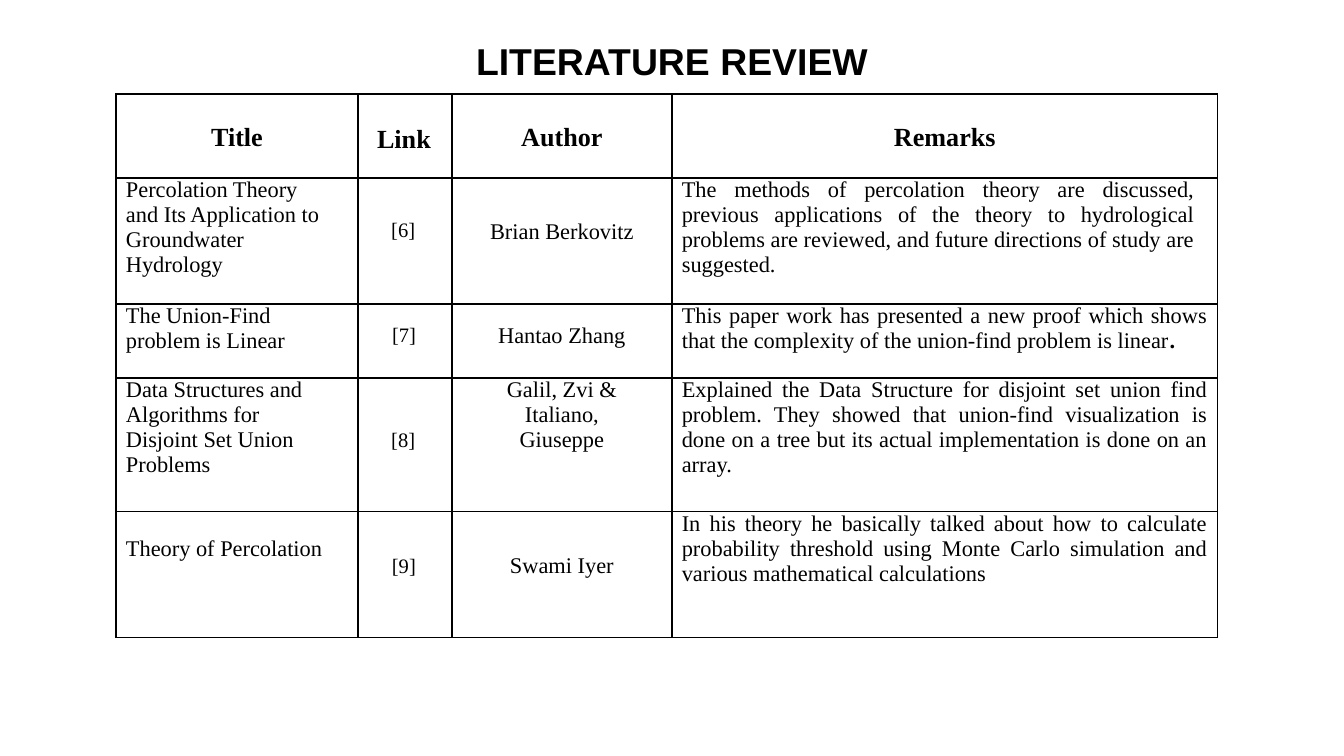
from pptx import Presentation
from pptx.dml.color import RGBColor
from pptx.enum.text import PP_ALIGN as Align
from pptx.oxml import parse_xml
from pptx.oxml.ns import nsdecls
from pptx.util import Emu, Pt

SCALE = 914400 / 134.4
SERIF = "Times New Roman"
INK = "000000"
LEFT, MID, JUST = Align.LEFT, Align.CENTER, Align.JUSTIFY

COLS = [242, 94, 220, 546]
ROWS = [84, 126, 74, 134, 126]
HEADS = ["Title", "", "Author", "Remarks"]
# Title, author and remarks of each paper
PAPERS = [
    ("Percolation Theory and Its Application to Groundwater Hydrology",
     "Brian Berkovitz",
     "The methods of percolation theory are discussed, previous applications "
     "of the theory to hydrological problems are reviewed, and future "
     "directions of study are suggested."),
    ("The Union-Find problem is Linear", "",
     "This paper work has presented a new proof which shows that the "
     "complexity of the union-find problem is linear"),
    ("Data Structures and Algorithms for Disjoint Set Union Problems",
     "Galil, Zvi & Italiano, Giuseppe",
     "Explained the Data Structure for disjoint set union find problem. They "
     "showed that union-find visualization is done on a tree but its actual "
     "implementation is done on an array."),
    ("Theory of Percolation", "Swami Iyer",
     "In his theory he basically talked about how to calculate probability "
     "threshold using Monte Carlo simulation and various mathematical "
     "calculations"),
]
# Space above the title and the author of each paper
DROPS = [(0, 42), (0, 0), (0, 0), (25, 42)]
# Labels laid over the table: text, box, size, bold, alignment
LABELS = [
    ("Link", (230, 22, 116, 46), 14, True, MID),
    ("Hantao Zhang", (336, 221, 220, 73), 12, False, MID),
    ("[6]", (262, 116, 53, 39), 11, False, LEFT),
    ("[7]", (251, 221, 74, 39), 11, False, MID),
    ("[8]", (262, 326, 63, 39), 11, False, LEFT),
    ("[9]", (241, 452, 94, 39), 11, False, MID),
]


def px(n):
    return Emu(round(n * SCALE))


def tint(code):
    return RGBColor.from_string(code)


def write(para, text, size=12, font=SERIF, bold=False, color=INK, align=LEFT):
    para.alignment = align
    run = para.add_run()
    run.text = text
    run.font.size = Pt(size)
    run.font.name = font
    run.font.bold = bold
    run.font.color.rgb = tint(color)


def label(slide, text, box, **form):
    frame = slide.shapes.add_textbox(*map(px, box)).text_frame
    frame.word_wrap = True
    write(frame.paragraphs[0], text, **form)


def clear(cell):
    """Plain cell: black borders, no fill, no insets."""
    props = cell._tc.get_or_add_tcPr()
    for side in ("lnL", "lnR", "lnT", "lnB"):
        props.append(parse_xml(
            f'<a:{side} {nsdecls("a")} w="9525"><a:solidFill>'
            f'<a:srgbClr val="{INK}"/></a:solidFill></a:{side}>'))
    cell.fill.background()
    pad(cell)


def pad(cell, left=0, right=0, top=0):
    cell.margin_left, cell.margin_right = px(left), px(right)
    cell.margin_top, cell.margin_bottom = px(top), 0


def fill(cell, text, left, right, top=0, **form):
    pad(cell, left, right, top)
    if text:
        write(cell.text_frame.paragraphs[0], text, **form)


def review(slide, x, y):
    box = (x, y, sum(COLS), sum(ROWS))
    grid = slide.shapes.add_table(len(ROWS), len(COLS), *map(px, box)).table
    grid.first_row = grid.horz_banding = False
    for col, wide in zip(grid.columns, COLS):
        col.width = px(wide)
    for row, high in zip(grid.rows, ROWS):
        row.height = px(high)
    for cell in grid.iter_cells():
        clear(cell)

    # Header row
    for i, head in enumerate(HEADS):
        fill(grid.cell(0, i), head, 0, 0, 29, size=14, bold=True, align=MID)

    # One row for each paper
    for i, ((name, author, note), drop) in enumerate(zip(PAPERS, DROPS), 1):
        fill(grid.cell(i, 0), name, 10, 30, drop[0])
        fill(grid.cell(i, 2), author, 31, 31, drop[1], align=MID)
        fill(grid.cell(i, 3), note, 10, 23 if i == 1 else 10, align=JUST)
    write(grid.cell(2, 3).text_frame.paragraphs[0], ".", bold=True, align=JUST)

    # Labels over the table
    for text, (left, top, wide, high), size, bold, align in LABELS:
        label(slide, text, (x + left, y + top, wide, high),
              size=size, bold=bold, align=align)


def main():
    deck = Presentation()
    deck.slide_width, deck.slide_height = px(1344), px(756)
    slide = deck.slides.add_slide(deck.slide_layouts[6])
    label(slide, "LITERATURE REVIEW", (378, 32, 588, 59),
          size=20, font="Arial", bold=True, align=MID)
    review(slide, 116, 94)
    deck.save("out.pptx")


if __name__ == "__main__":
    main()
